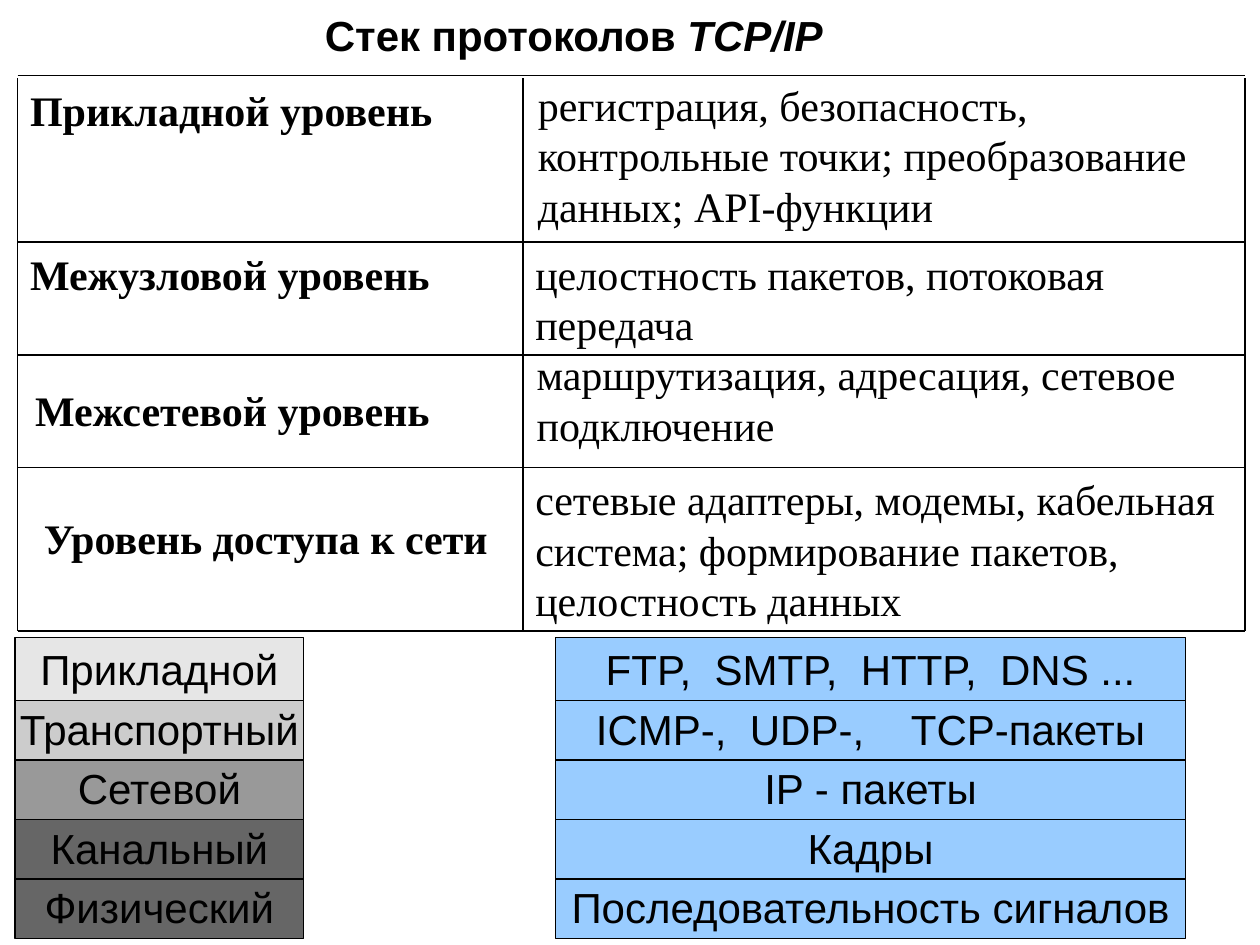
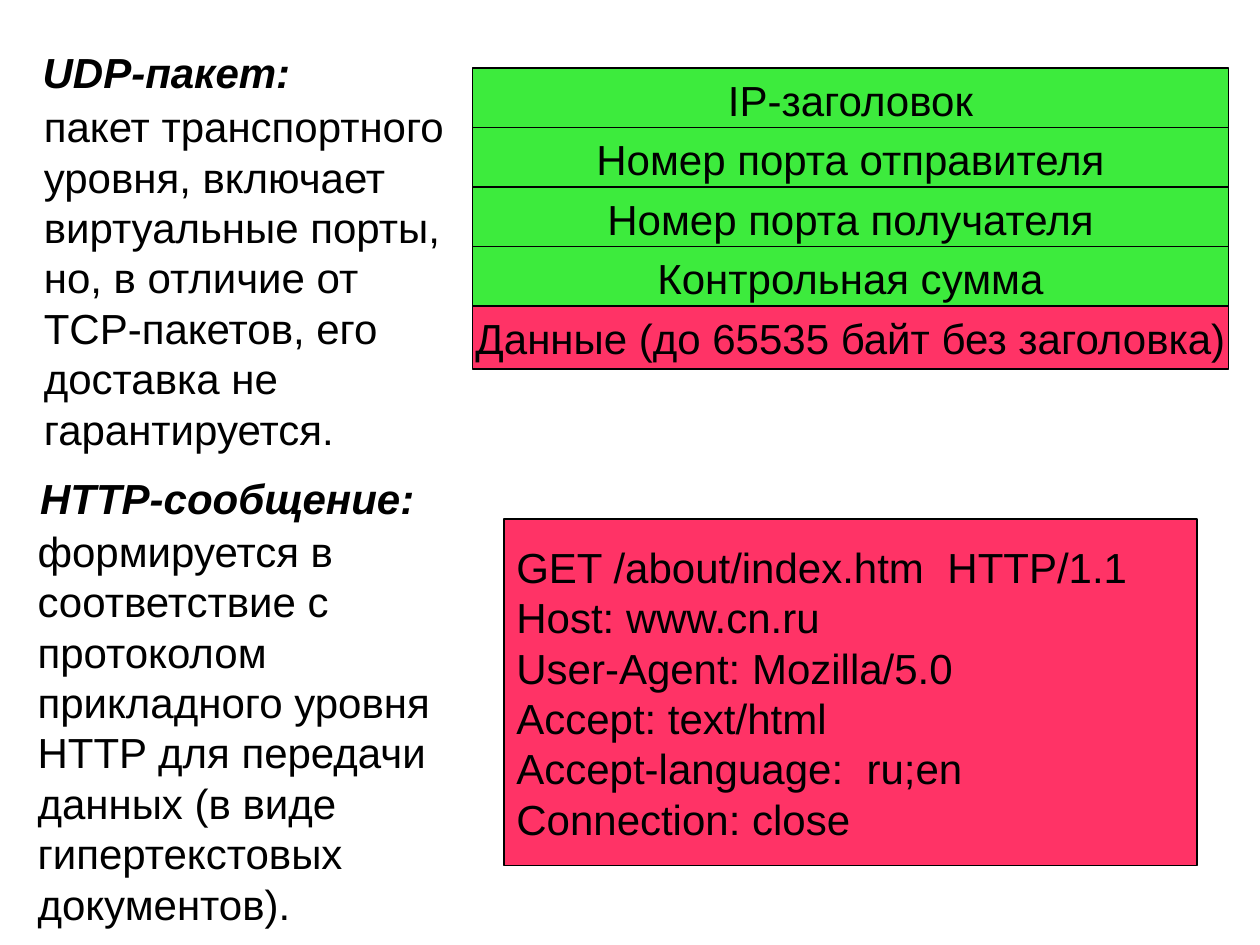
from lxml import etree
from pptx import Presentation
from pptx import util as u
from pptx.dml.color import RGBColor
from pptx.enum import shapes, text
from pptx.oxml import ns

SANS, SERIF = "Arial", "Times New Roman"
BLACK, BLUE, GREEN, RED = "000000", "99CCFF", "3DEB3D", "FF3366"
GREYS = ["E6E6E6", "CCCCCC", "999999", "666666", "666666"]
BOLD, ITALIC = {"bold": True}, {"bold": True, "italic": True}
TEXT_SIZE = 24
SPACE_WIDTH = 0.278 * TEXT_SIZE
ROW_HEIGHT, ROW_PITCH = 0.5, 0.4725


def colour(value):
    return RGBColor.from_string(value)


def wide(*parts):
    """Join words and gap widths (counted in spaces) into a list of runs."""
    return [(part, {}) if isinstance(part, str) else (" ", {"gap": part}) for part in parts]


class SlideBuilder:
    """Holds the shared text style and draws on the current slide."""

    def __init__(self, presentation):
        self.presentation = presentation
        self.slide = None

    def new_slide(self):
        self.slide = self.presentation.slides.add_slide(self.presentation.slide_layouts[6])

    def add_text(self, shape, paragraphs, font=SANS, align=text.PP_ALIGN.LEFT, wrap=True,
                 anchor=text.MSO_ANCHOR.TOP):
        """Fill a shape; each paragraph is a string or a list of (text, style) runs."""
        frame = shape.text_frame
        frame.word_wrap = wrap
        frame.vertical_anchor = anchor
        for index, runs in enumerate(paragraphs):
            paragraph = frame.paragraphs[0] if index == 0 else frame.add_paragraph()
            paragraph.alignment = align
            for words, style in [(runs, {})] if isinstance(runs, str) else runs:
                run = paragraph.add_run()
                run.text = words
                run.font.name = font
                run.font.size = u.Pt(TEXT_SIZE)
                run.font.bold = style.get("bold", False)
                run.font.italic = style.get("italic", False)
                run.font.color.rgb = colour(BLACK)
                if "gap" in style:
                    extra = (style["gap"] - 1) * SPACE_WIDTH
                    run._r.get_or_add_rPr().set("spc", str(round(extra * 100)))

    def text_box(self, left, top, width, height, runs, **options):
        box = self.slide.shapes.add_textbox(*map(u.Inches, (left, top, width, height)))
        self.add_text(box, [runs], **options)
        return box

    def title(self, left, top, width, height, runs):
        box = self.text_box(left, top, width, height, runs, wrap=False)
        box.text_frame.auto_size = text.MSO_AUTO_SIZE.SHAPE_TO_FIT_TEXT
        box.text_frame.paragraphs[0].line_spacing = 1.24

    def line(self, x1, y1, x2, y2):
        connector = self.slide.shapes.add_connector(
            shapes.MSO_CONNECTOR.STRAIGHT, *map(u.Inches, (x1, y1, x2, y2)))
        connector.line.color.rgb = colour(BLACK)
        connector.line.width = u.Pt(1)
        etree.SubElement(connector._element.spPr, ns.qn("a:effectLst"))

    def block(self, left, top, width, height, fill, paragraphs, align=text.PP_ALIGN.CENTER):
        shape = self.slide.shapes.add_shape(
            shapes.MSO_SHAPE.RECTANGLE, *map(u.Inches, (left, top, width, height)))
        shape.shadow.inherit = False
        shape.fill.solid()
        shape.fill.fore_color.rgb = colour(fill)
        shape.line.color.rgb = colour(BLACK)
        shape.line.width = u.Pt(0.75)
        self.add_text(shape, paragraphs, align=align, wrap=False, anchor=text.MSO_ANCHOR.MIDDLE)

    def stack(self, left, top, width, fills, labels, upper_in_front=False):
        """Draw overlapping rows from top to bottom, one label and fill each."""
        rows = list(enumerate(zip(fills, labels)))
        for index, (fill, label) in reversed(rows) if upper_in_front else rows:
            self.block(left, top + index * ROW_PITCH, width, ROW_HEIGHT, fill, [label])


def tcp_ip_stack(builder):
    builder.new_slide()
    builder.title(2.48, -0.07, 4.18, 0.6, [("Стек протоколов ", BOLD), ("TCP/IP", ITALIC)])

    left, middle, right = 0.14, 4.15, 9.88
    top, bottom = 0.62, 5.01
    for y in (0.6, 1.92, 2.82, 3.71, bottom):
        builder.line(left, y, right, y)
    for x in (left, middle, right):
        builder.line(x, top, x, bottom)

    levels = [
        (0.14, 0.62, 4.01, 1.3, "Прикладной уровень"),
        (0.14, 1.92, 4.01, 0.9, "Межузловой уровень"),
        (0.18, 3, 3.35, 0.5, "Межсетевой уровень"),
        (0.25, 4.02, 3.76, 0.5, "Уровень доступа к сети"),
    ]
    duties = [
        (4.17, 0.58, 5.5, 1.3,
         "регистрация, безопасность, контрольные точки; преобразование данных; API-функции"),
        (4.15, 1.92, 5.73, 0.9, "целостность пакетов, потоковая передача"),
        (4.16, 2.72, 5.59, 0.9, "маршрутизация, адресация, сетевое подключение"),
        (4.15, 3.71, 5.73, 1.3,
         "сетевые адаптеры, модемы, кабельная система; формирование пакетов, "
         "целостность данных"),
    ]
    for *place, name in levels:
        builder.text_box(*place, [(name, BOLD)], font=SERIF)
    for *place, duty in duties:
        builder.text_box(*place, duty, font=SERIF)

    builder.stack(4.41, 5.06, 5, [BLUE] * 5, [
        wide("FTP,", 2, "SMTP,", 2, "HTTP,", 2, "DNS ..."),
        wide("ICMP-,", 2, "UDP-,", 4, "TCP-пакеты"),
        "IP - пакеты", "Кадры", "Последовательность сигналов"], upper_in_front=True)
    builder.stack(0.12, 5.06, 2.29, GREYS, [
        "Прикладной", "Транспортный", "Сетевой", "Канальный", "Физический"],
        upper_in_front=True)


def packet_formats(builder):
    builder.new_slide()
    builder.stack(3.75, 0.54, 6, [GREEN] * 4 + [RED], [
        "IP-заголовок", "Номер порта отправителя", "Номер порта получателя",
        "Контрольная сумма", "Данные (до 65535 байт без заголовка)"])
    builder.text_box(0.24, 0.32, 3.26, 0.5, [("UDP-пакет:", ITALIC)])
    builder.text_box(
        0.25, 0.75, 3.5, 2.9,
        "пакет транспортного уровня, включает виртуальные порты, но, в отличие от "
        "TCP-пакетов, его доставка не гарантируется.")

    builder.block(4, 4.12, 5.5, 2.75, RED, [
        wide("GET /about/index.htm", 2, "HTTP/1.1"),
        "Host: www.cn.ru",
        "User-Agent: Mozilla/5.0",
        "Accept: text/html",
        wide("Accept-language:", 2, "ru;en"),
        "Connection: close"], align=text.PP_ALIGN.LEFT)
    builder.text_box(0.22, 3.7, 3.25, 0.5, [("HTTP-сообщение:", ITALIC)])
    builder.text_box(
        0.2, 4.12, 3.55, 3.3,
        "формируется в соответствие с протоколом прикладного уровня HTTP для передачи "
        "данных (в виде гипертекстовых документов).")


def main():
    presentation = Presentation()
    presentation.slide_width, presentation.slide_height = u.Inches(10), u.Inches(7.5)
    builder = SlideBuilder(presentation)
    tcp_ip_stack(builder)
    packet_formats(builder)
    presentation.save("out.pptx")


if __name__ == "__main__":
    main()
